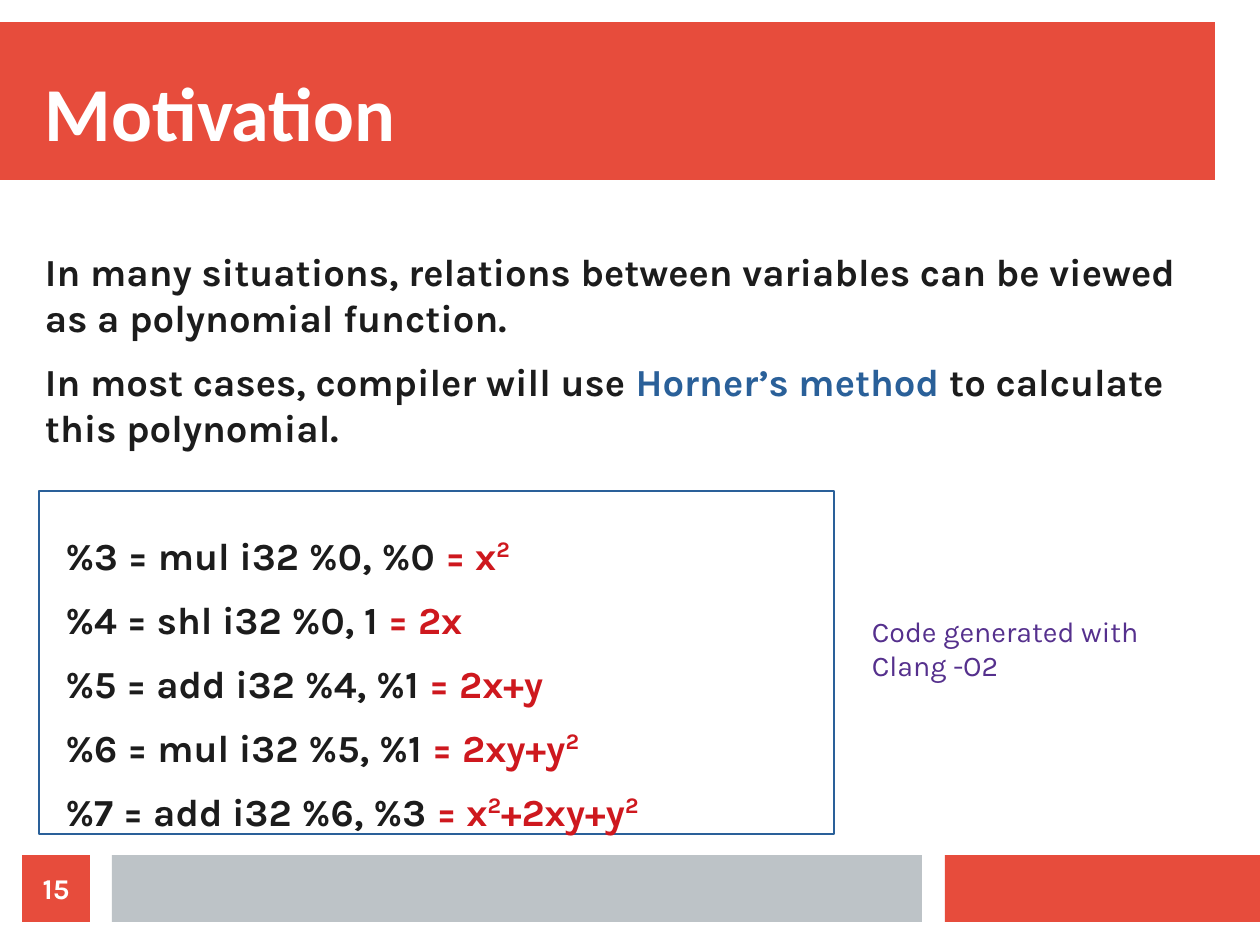
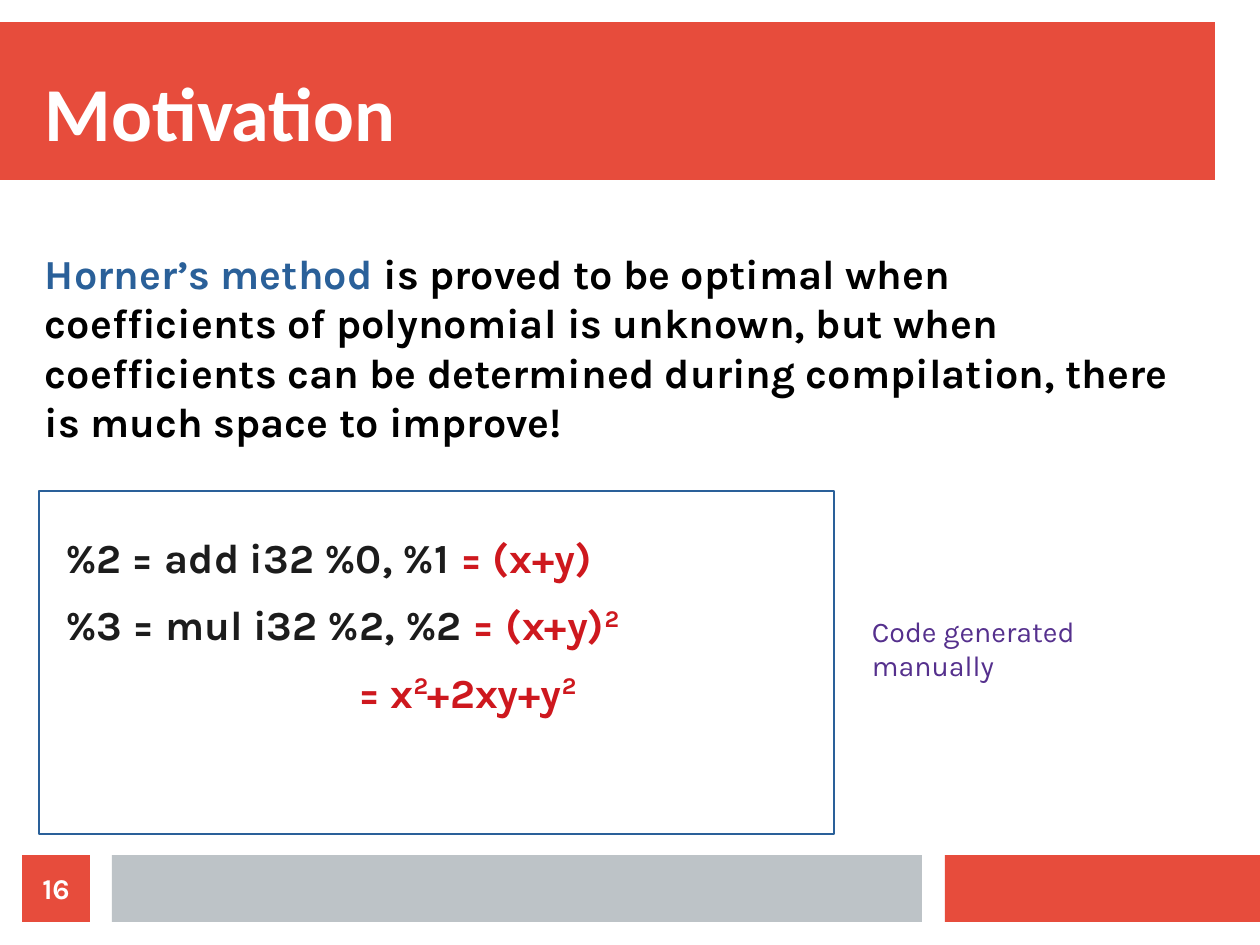
"""Build two slides on how compilers evaluate polynomials."""
from pptx import Presentation
from pptx import util as u
from pptx.dml.color import RGBColor
from pptx.enum import shapes, text

PX = 8000
COLORS = {
    "red": "E74C3C", "gray": "BDC3C7", "white": "FFFFFF", "ink": "1C1C1C",
    "black": "000000", "blue": "2A6099", "result": "CE181E", "purple": "55308D",
}
SLIDES = [
    {
        "number": "15",
        "size": 24.1,
        "intro": [
            [("In many situations, relations between variables can be viewed "
              "as a polynomial function.", "ink")],
            [("In most cases, compiler will use ", "ink"), ("Horner’s method", "blue"),
             (" to calculate this polynomial.", "ink")],
        ],
        "code": [
            ("%3 = mul i32 %0, %0", " = x^2^"),
            ("%4 = shl i32 %0, 1", " = 2x"),
            ("%5 = add i32 %4, %1", " = 2x+y"),
            ("%6 = mul i32 %5, %1", " = 2xy+y^2^"),
            ("%7 = add i32 %6, %3", " = x^2^+2xy+y^2^"),
        ],
        "note": "Code generated with Clang -O2",
    },
    {
        "number": "16",
        "size": 26,
        "intro": [
            [("Horner’s method ", "blue"),
             ("is proved to be optimal when coefficients of polynomial is unknown, "
              "but when coefficients can be determined during compilation, there "
              "is much space to improve!", "black")],
        ],
        "code": [
            ("%2 = add i32 %0, %1", " = (x+y)"),
            ("%3 = mul i32 %2, %2", " = (x+y)^2^"),
            ("", "= x^2^+2xy+y^2^"),
        ],
        "note": "Code generated manually",
    },
]


def px(*lengths):
    """Turn pixel lengths into EMU."""
    return [u.Emu(n * PX) for n in lengths]


def rgb(name):
    """Look up a named colour."""
    return RGBColor.from_string(COLORS[name])


def add_box(s, at, fill=None, line=None):
    """Add a flat rectangle with an optional fill and outline."""
    sp = s.shapes.add_shape(shapes.MSO_SHAPE.RECTANGLE, *px(*at))
    sp.shadow.inherit = False
    if fill:
        sp.fill.solid()
        sp.fill.fore_color.rgb = rgb(fill)
    else:
        sp.fill.background()
    if line:
        sp.line.color.rgb = rgb(line)
        sp.line.width = u.Pt(1.5)
    else:
        sp.line.fill.background()
    return sp


def add_runs(p, words, color):
    """Add runs, raising whatever stands between carets."""
    for i, part in enumerate(words.split("^")):
        if part:
            r = p.add_run()
            r.text = part
            r.font.color.rgb = rgb(color)
            if i % 2:
                r.font._element.set("baseline", "33000")


def write(sp, paragraphs, size, font="Karla", bold=True, insets=(0, 0, 0, 0),
          anchor=text.MSO_ANCHOR.TOP, align=text.PP_ALIGN.LEFT):
    """Fill a shape with paragraphs of (words, colour) runs."""
    tf = sp.text_frame
    tf.word_wrap = True
    tf.vertical_anchor = anchor
    tf.margin_left, tf.margin_top, tf.margin_right, tf.margin_bottom = px(*insets)
    for i, runs in enumerate(paragraphs):
        p = tf.add_paragraph() if i else tf.paragraphs[0]
        p.alignment = align
        if i < len(paragraphs) - 1:
            p.space_after = u.Pt(11.4)
        p.font.name, p.font.size, p.font.bold = font, u.Pt(size), bold
        for words, color in runs:
            add_runs(p, words, color)
    return tf


def add_text(s, at, paragraphs, size, **style):
    """Add a text box."""
    return write(s.shapes.add_textbox(*px(*at)), paragraphs, size, **style)


def add_frame(s, title, number):
    """Add the bands, title and page number shared by all slides."""
    add_box(s, (0, 22, 1215, 158), "red")
    add_box(s, (945, 855, 315, 67), "red")
    add_box(s, (112, 855, 810, 67), "gray")
    add_text(s, (45, 45, 1170, 112), [[(title, "white")]], 48, font="Calibri",
             anchor=text.MSO_ANCHOR.BOTTOM)
    badge = add_box(s, (22, 855, 68, 67), "red")
    write(badge, [[(number, "white")]], 18, anchor=text.MSO_ANCHOR.MIDDLE,
          align=text.PP_ALIGN.CENTER)


def add_code(s, lines, size):
    """Add the outlined listing, indenting lines that only hold a result."""
    sp = add_box(s, (39, 491, 795, 343), line="blue")
    paragraphs = [[(code, "ink"), (result, "result")] for code, result in lines]
    tf = write(sp, paragraphs, size, insets=(26, 41, 0, 0))
    for p, (code, _) in zip(tf.paragraphs, lines):
        if not code:
            p._p.get_or_add_pPr().set("marL", str(293 * PX))


def main():
    """Build and save the deck."""
    prs = Presentation()
    prs.slide_width, prs.slide_height = px(1260, 945)
    for page in SLIDES:
        s = prs.slides.add_slide(prs.slide_layouts[6])
        add_frame(s, "Motivation", page["number"])
        add_text(s, (45, 248, 1148, 204), page["intro"], page["size"])
        add_code(s, page["code"], page["size"])
        add_text(s, (861, 608, 331, 89), [[(page["note"], "purple")]], 18,
                 bold=False, insets=(11, 6, 11, 6))
    prs.save("out.pptx")


if __name__ == "__main__":
    main()
